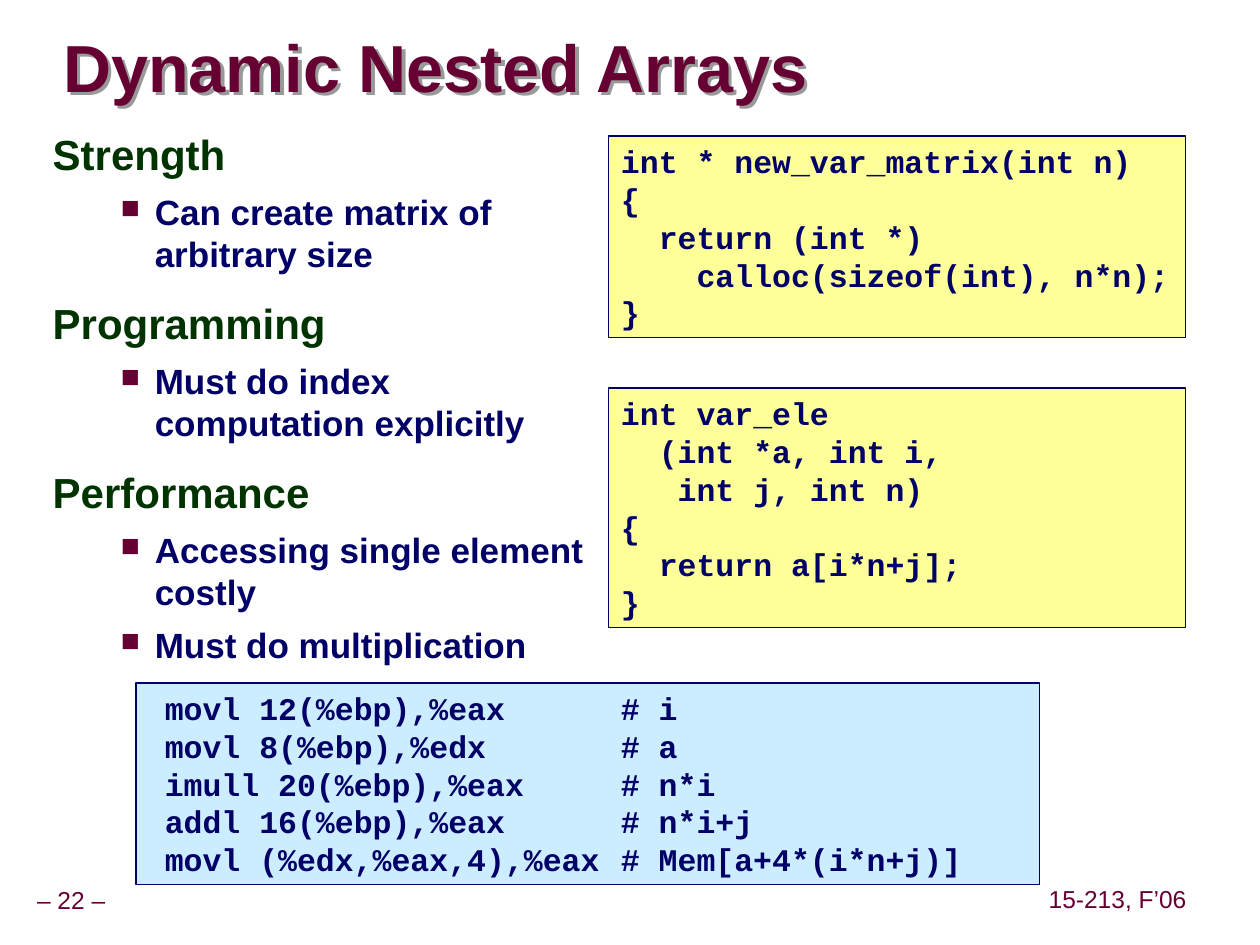
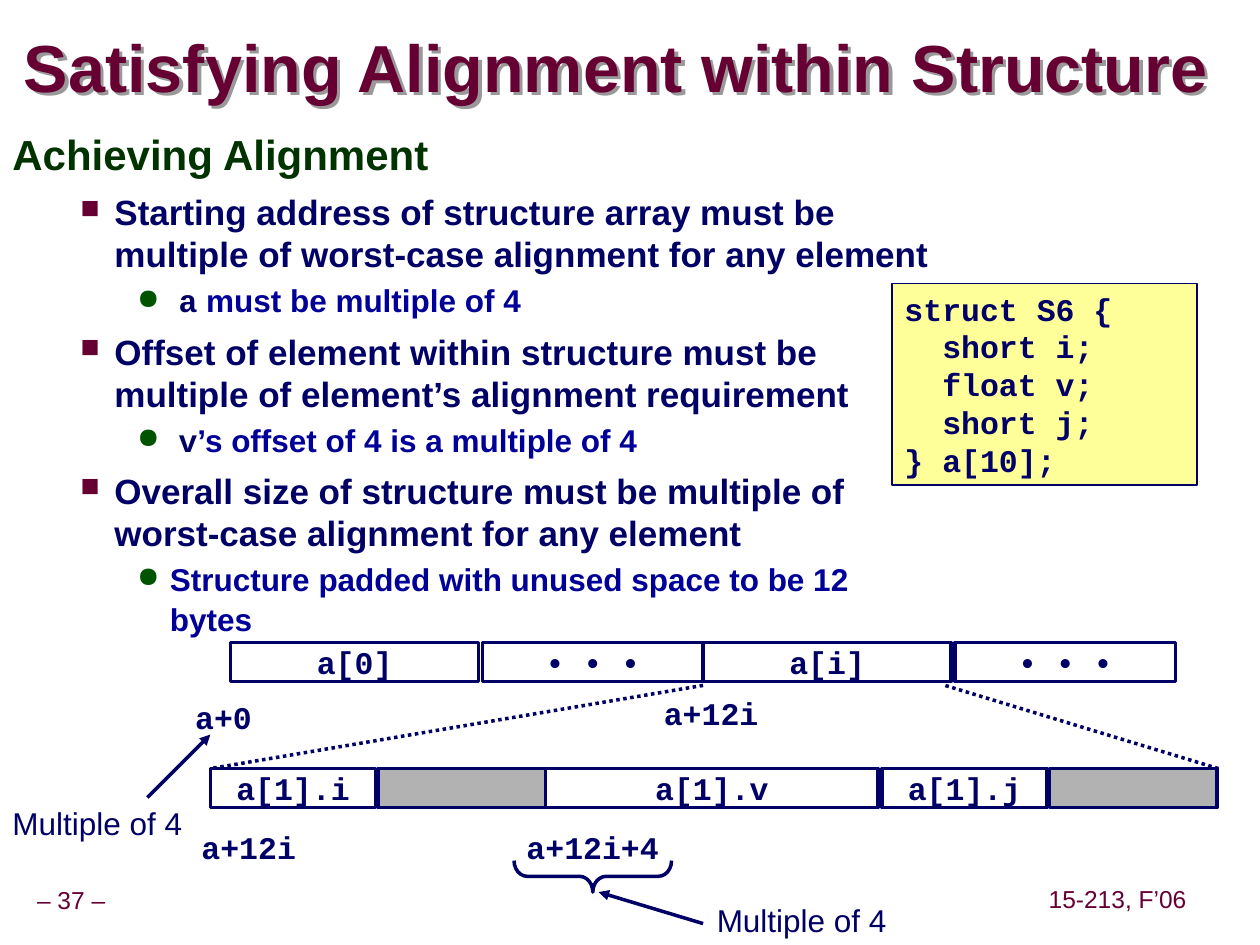
from lxml.etree import SubElement as Sub
from pptx import Presentation as Deck
from pptx.dml.color import RGBColor as Rgb
from pptx.enum.dml import MSO_LINE as Dash
from pptx.enum.shapes import MSO_CONNECTOR as Link, MSO_SHAPE as Kind
from pptx.enum.text import MSO_ANCHOR as Anchor, MSO_AUTO_SIZE as Fit, PP_ALIGN as Align
from pptx.oxml.ns import qn
from pptx.util import Pt

PX = 9144
SANS, MONO = "Arial", "Courier New"
HUES = {
    "wine": "660033", "green": "003300", "navy": "000066", "blue": "000099",
    "leaf": "005400", "yellow": "FFFF99", "sky": "CCECFF", "white": "FFFFFF",
    "gray": "B2B2B2", "shade": "999999",
}
LEVELS = [
    dict(size=24, hue="green", lead=0.95, before=15, indent=(42, -42)),
    dict(size=20, hue="navy", before=6.2, indent=(81, -27), mark=("■", "wine", 75)),
    dict(size=18, hue="blue", lead=1.07, before=2.2, indent=(125, -26), mark=("●", "leaf", 90)),
]
CODE = dict(font=MONO, bold=True)


def emu(*sizes):
    return [n * PX for n in sizes]


def tint(hue):
    return Rgb.from_string(HUES[hue])


def write(par, text, size=18, hue="navy", font=SANS, bold=False, align=Align.LEFT,
          lead=None, before=0, indent=None, mark=None, tabs=()):
    par.alignment, par.space_before = align, Pt(before)
    if lead:
        par.line_spacing = lead
    props = par._p.get_or_add_pPr()
    if indent:
        for key, n in zip(("marL", "indent"), emu(*indent)):
            props.set(key, str(n))
    if mark:
        sign, color, scale = mark
        Sub(Sub(props, qn("a:buClr")), qn("a:srgbClr"), val=HUES[color])
        Sub(props, qn("a:buSzPct"), val=str(scale * 1000))
        Sub(props, qn("a:buChar"), char=sign)
    if tabs:
        stops = Sub(props, qn("a:tabLst"))
        for n in emu(*tabs):
            Sub(stops, qn("a:tab"), pos=str(n), algn="l")
    for i, part in enumerate(text.split("`")):
        if not part:
            continue
        run = par.add_run()
        run.text = part
        face = run.font
        face.size, face.bold = Pt(size), bold
        face.name = MONO if i % 2 else font
        face.color.rgb = tint("navy" if i % 2 else hue)


class Page:
    def __init__(self, deck):
        self.deck = deck

    def start(self, title, box, number):
        self.slide = self.deck.slides.add_slide(self.deck.slide_layouts[5])
        self.shapes = self.slide.shapes
        self.label(f"– {number} –", (-9, 700, 131, 31), pad=5, mid=True,
                   size=14, hue="wine", align=Align.CENTER, lead=0.9)
        self.label("15-213, F’06", (827, 699, 120, 31), pad=5, mid=True,
                   size=14, hue="wine", align=Align.CENTER, lead=0.9)
        head = self.shapes.title
        head.left, head.top, head.width, head.height = emu(*box)
        self.fill(head, title, pad=0, side=0, mid=True, wrap=True,
                  size=38, hue="wine", bold=True, lead=0.87)
        glow = Sub(Sub(head._element.spPr, qn("a:effectLst")), qn("a:outerShdw"),
                   dist="36000", dir="2700000", algn="ctr", rotWithShape="0")
        Sub(glow, qn("a:srgbClr"), val=HUES["shade"])

    def frame(self, shape, pad=5, side=10, mid=False, wrap=False):
        frame = shape.text_frame
        frame.auto_size, frame.word_wrap = Fit.NONE, wrap
        frame.vertical_anchor = Anchor.MIDDLE if mid else Anchor.TOP
        frame.margin_left = frame.margin_right = side * PX
        frame.margin_top = frame.margin_bottom = pad * PX
        return frame

    def fill(self, shape, text, pad=5, side=10, mid=False, wrap=False, **style):
        frame = self.frame(shape, pad, side, mid, wrap)
        for i, line in enumerate(text.split("\n")):
            par = frame.add_paragraph() if i else frame.paragraphs[0]
            write(par, line, **style)

    def label(self, text, box, pad=5, mid=False, **style):
        shape = self.shapes.add_textbox(*emu(*box))
        self.fill(shape, text, pad=pad, side=5 if mid else 10, mid=mid, **style)

    def body(self, box, items):
        frame = self.frame(self.shapes.add_textbox(*emu(*box)), wrap=True)
        for i, (level, text) in enumerate(items):
            par = frame.add_paragraph() if i else frame.paragraphs[0]
            par.level = level
            write(par, text, bold=True, **LEVELS[level])

    def block(self, box, hue, width):
        shape = self.shapes.add_shape(Kind.RECTANGLE, *emu(*box))
        shape.shadow.inherit = False
        shape.fill.solid()
        shape.fill.fore_color.rgb = tint(hue)
        shape.line.color.rgb = tint("navy")
        shape.line.width = Pt(width)
        return shape

    def code(self, text, box, hue="yellow", tabs=()):
        self.fill(self.block(box, hue, 1), text, wrap=True, tabs=tabs, **CODE)

    def row(self, left, top, cells):
        for text, step, gap in cells:
            shape = self.block((left, top, step - gap, 31), "white" if text else "gray", 2)
            if text:
                self.fill(shape, text, mid=True, align=Align.CENTER, **CODE)
            left += step

    def line(self, ends, dots=False):
        link = self.shapes.add_connector(Link.STRAIGHT, *emu(*ends))
        link.line.color.rgb = tint("navy")
        link.line.width = Pt(2)
        if dots:
            link.line.dash_style = Dash.ROUND_DOT
        else:
            Sub(link.line._get_or_add_ln(), qn("a:tailEnd"), type="triangle")
        Sub(link._element.spPr, qn("a:effectLst"))

    def brace(self, box):
        shape = self.shapes.add_shape(Kind.LEFT_BRACE, *emu(*box))
        shape.shadow.inherit = False
        shape.rotation = 270
        shape.adjustments[0] = 0.42
        shape.fill.background()
        shape.line.color.rgb = tint("navy")
        shape.line.width = Pt(2)


def arrays(page):
    page.start("Dynamic Nested Arrays", (50, 25, 738, 63), 22)
    page.body((32, 100, 461, 605), [
        (0, "Strength"),
        (1, "Can create matrix of arbitrary size"),
        (0, "Programming"),
        (1, "Must do index computation explicitly"),
        (0, "Performance"),
        (1, "Accessing single element costly"),
        (1, "Must do multiplication"),
    ])
    page.code("""int * new_var_matrix(int n)
{
  return (int *)
    calloc(sizeof(int), n*n);
}""", (483, 108, 458, 160))
    page.code("""int var_ele
  (int *a, int i,
   int j, int n)
{
  return a[i*n+j];
}""", (483, 308, 458, 190))
    steps = [
        ("movl 12(%ebp),%eax", "i"),
        ("movl 8(%ebp),%edx", "a"),
        ("imull 20(%ebp),%eax", "n*i"),
        ("addl 16(%ebp),%eax", "n*i+j"),
        ("movl (%edx,%eax,4),%eax", "Mem[a+4*(i*n+j)]"),
    ]
    page.code("\n".join(f"\t{op}\t# {note}" for op, note in steps),
              (108, 542, 717, 160), "sky", tabs=(13, 375))


def align(page):
    page.start("Satisfying Alignment within Structure", (19, 25, 964, 63), 37)
    page.body((0, 100, 750, 600), [
        (0, "Achieving Alignment"),
        (1, "Starting address of structure array must be multiple of "
            "worst-case alignment for any element"),
        (2, " `a` must be multiple of 4"),
        (1, "Offset of element within structure must be multiple of "
            "element’s alignment requirement"),
        (2, " `v`’s offset of 4 is a multiple of 4"),
        (1, "Overall size of structure must be multiple of "
            "worst-case alignment for any element"),
        (2, "Structure padded with unused space to be 12 bytes"),
    ])
    page.code("""struct S6 {
  short i;
  float v;
  short j;
} a[10];""", (708, 225, 242, 160))
    page.line((558, 544, 167, 610), dots=True)
    page.line((967, 610, 750, 544), dots=True)
    page.row(183, 510, [("a[0]", 200, 3), ("• • •", 175, 0),
                        ("a[i]", 200, 3), ("• • •", 175, 0)])
    page.row(167, 610, [("a[1].i", 133, 2), ("", 133, 0), ("a[1].v", 267, 3),
                        ("a[1].j", 133, 2), ("", 133, 0)])
    for text, left, top, width in [("a+0", 145, 549, 65), ("a+12i", 517, 546, 95),
                                   ("a+12i", 150, 652, 95), ("a+12i+4", 408, 652, 125)]:
        page.label(text, (left, top, width, 40), **CODE)
    for ends, left, top in [((558, 733, 475, 708), 559, 710),
                            ((117, 633, 167, 583), 0, 633)]:
        page.line(ends)
        page.label("Multiple of 4", (left, top, 155, 40))
    page.brace((458, 633, 25, 125))


def main():
    deck = Deck()
    deck.slide_width, deck.slide_height = emu(1000, 750)
    page = Page(deck)
    arrays(page)
    align(page)
    deck.save("out.pptx")


if __name__ == "__main__":
    main()
